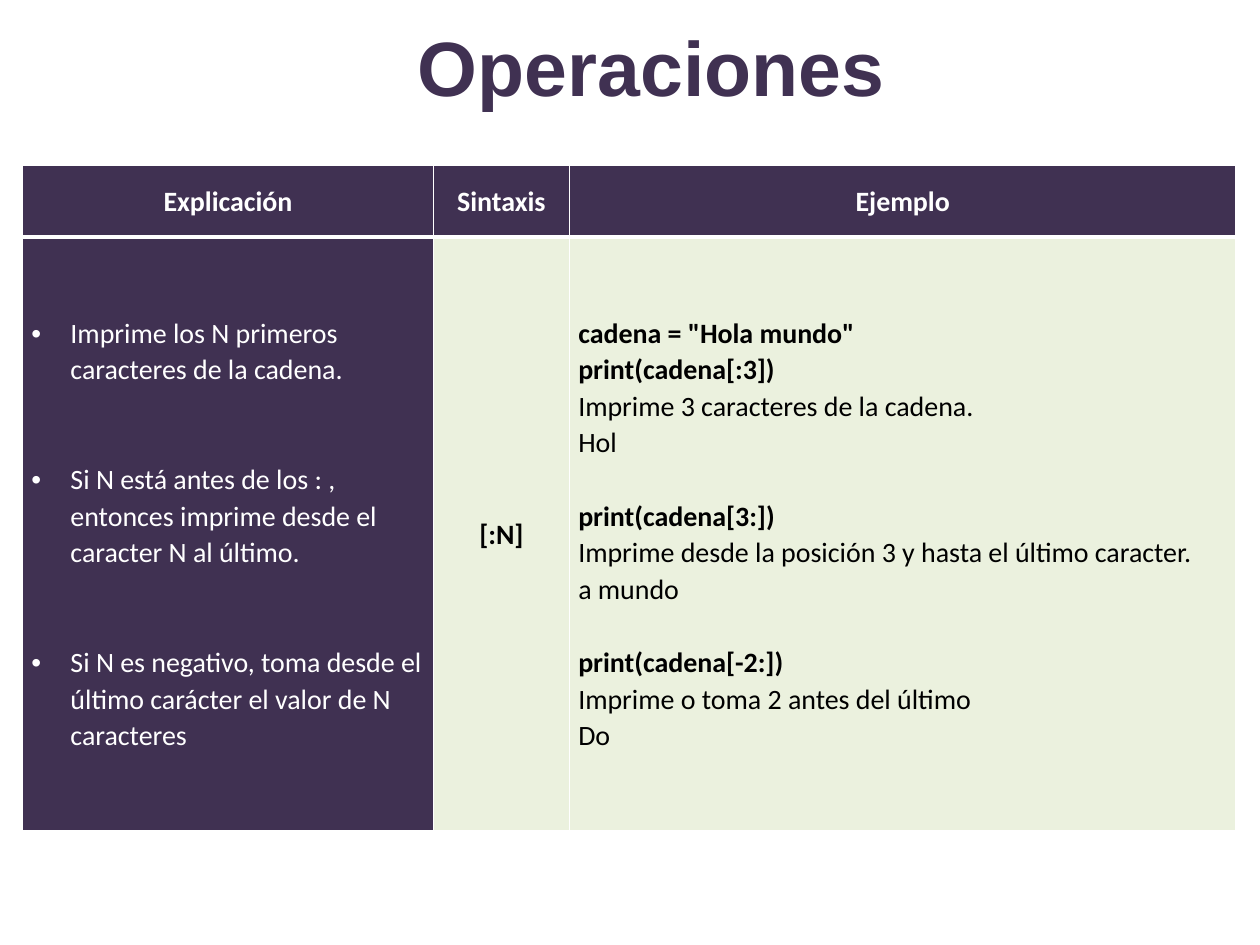
from lxml import etree
from pptx import Presentation
from pptx.dml.color import RGBColor
from pptx.enum.text import MSO_ANCHOR, PP_ALIGN
from pptx.oxml.ns import qn
from pptx.util import Inches, Pt

MIDDLE = MSO_ANCHOR.MIDDLE
CENTER, LEFT = PP_ALIGN.CENTER, PP_ALIGN.LEFT
PURPLE, GREEN, WHITE, BLACK = "403152", "EBF1DE", "FFFFFF", "000000"
LINE = 20.9  # height of one text line in points

# Content
TITLE = "Operaciones"
HEADERS = ["Explicación", "Sintaxis", "Ejemplo"]
EXPLANATIONS = [
    "Imprime los N primeros caracteres de la cadena.",
    "Si N está antes de los : , entonces imprime desde el caracter N al último.",
    "Si N es negativo, toma desde el último carácter el valor de N caracteres",
]
SYNTAX = "[:N]"
EXAMPLES = [  # code lines, then explanation and output
    (['cadena = "Hola mundo"', "print(cadena[:3])"],
     ["Imprime 3 caracteres de la cadena.", "Hol"]),
    (["print(cadena[3:])"],
     ["Imprime desde la posición 3 y hasta el último caracter.", "a mundo"]),
    (["print(cadena[-2:])"],
     ["Imprime o toma 2 antes del último", "Do"]),
]
COL_WIDTHS = [3.26, 1.08, 5.29]
ROW_HEIGHTS = [0.57, 4.71]


def rgb(value):
    return RGBColor.from_string(value)


def add_border(cell, side, width):
    ln = etree.SubElement(cell._tc.get_or_add_tcPr(), qn(f"a:ln{side}"), w=str(Pt(width)))
    fill = etree.SubElement(ln, qn("a:solidFill"))
    etree.SubElement(fill, qn("a:srgbClr"), val=WHITE)


def format_cell(cell, fill, margin, top, bottom):
    for side, width in (("L", 1), ("R", 1), ("T", top), ("B", bottom)):
        add_border(cell, side, width)
    cell.fill.solid()
    cell.fill.fore_color.rgb = rgb(fill)
    cell.vertical_anchor = MIDDLE
    cell.margin_left = cell.margin_right = Inches(margin)
    cell.margin_top = cell.margin_bottom = 0


def add_bullet(p):
    pPr = p._p.get_or_add_pPr()
    pPr.set("marL", str(Inches(0.31)))
    pPr.set("indent", str(-Inches(0.31)))
    etree.SubElement(pPr, qn("a:buFont"), typeface="Arial")
    etree.SubElement(pPr, qn("a:buChar"), char="•")


def style_run(r, size, font, color, bold):
    r.font.size = Pt(size)
    r.font.name = font
    r.font.bold = bold
    r.font.color.rgb = rgb(color)


def write_cell(cell, lines, color, align, bullet=False):
    """Write (text, bold, space before) lines into a cell."""
    tf = cell.text_frame
    for i, (text, bold, gap) in enumerate(lines):
        p = tf.add_paragraph() if i else tf.paragraphs[0]
        if bullet:
            add_bullet(p)
        p.alignment = align
        p.line_spacing = 1.07
        if gap:
            p.space_before = Pt(gap)
        r = p.add_run()
        r.text = text
        style_run(r, 16, "Calibri", color, bold)


prs = Presentation()
prs.slide_width, prs.slide_height = Inches(10), Inches(7.5)
s = prs.slides.add_slide(prs.slide_layouts[5])

# Title
title = s.shapes.title
title.left, title.top = Inches(1.17), Inches(-0.1)
title.width, title.height = Inches(8), Inches(1.25)
tf = title.text_frame
tf.vertical_anchor = MIDDLE
p = tf.paragraphs[0]
p.alignment = CENTER
r = p.add_run()
r.text = TITLE
style_run(r, 44, "Arial", PURPLE, True)

# Table grid
table = s.shapes.add_table(
    len(ROW_HEIGHTS), len(COL_WIDTHS), Inches(0.18), Inches(1.31),
    Inches(sum(COL_WIDTHS)), Inches(sum(ROW_HEIGHTS))).table
table.horz_banding = False
for col, width in zip(table.columns, COL_WIDTHS):
    col.width = Inches(width)
for row, height in zip(table.rows, ROW_HEIGHTS):
    row.height = Inches(height)

# Header row
for c, header in enumerate(HEADERS):
    cell = table.cell(0, c)
    format_cell(cell, PURPLE, 0.03, 1, 3)
    write_cell(cell, [(header, True, 0)], WHITE, CENTER)

# Body row
for c, fill in enumerate([PURPLE, GREEN, GREEN]):
    format_cell(table.cell(1, c), fill, 0.07, 3, 1)

explanations = [(text, False, 2 * LINE if i else 0) for i, text in enumerate(EXPLANATIONS)]
write_cell(table.cell(1, 0), explanations, WHITE, LEFT, bullet=True)
write_cell(table.cell(1, 1), [(SYNTAX, True, 0)], BLACK, CENTER)

examples = []
for i, (code, notes) in enumerate(EXAMPLES):
    for j, text in enumerate(code + notes):
        examples.append((text, j < len(code), LINE if i and j == 0 else 0))
write_cell(table.cell(1, 2), examples, BLACK, LEFT)

prs.save("out.pptx")
